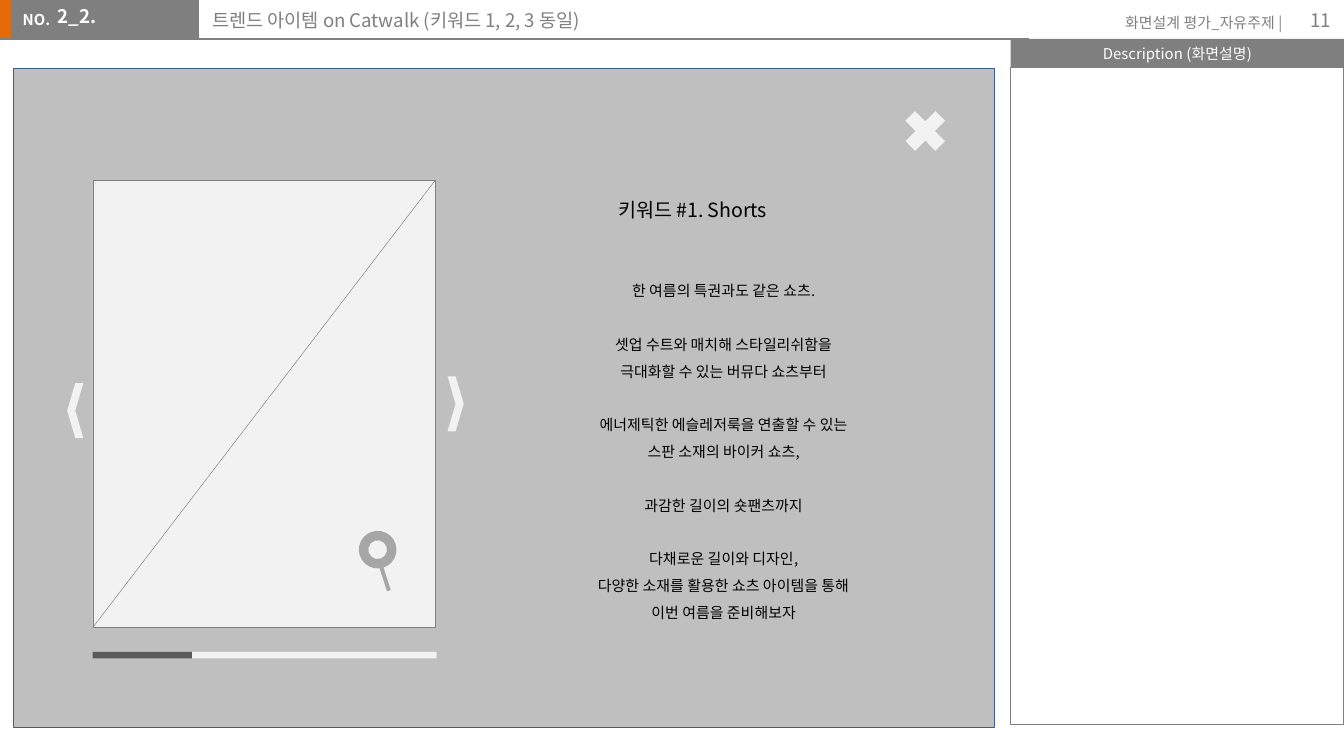
from lxml.etree import SubElement
from pptx import Presentation
from pptx.dml.color import RGBColor
from pptx.enum.shapes import MSO_CONNECTOR, MSO_SHAPE
from pptx.enum.text import MSO_ANCHOR, PP_ALIGN
from pptx.oxml.ns import qn
from pptx.util import Inches, Pt

FONT = "Noto Sans CJK KR"
GRAY, LIGHT, WHITE, BLACK = "7F7F7F", "F2F2F2", "FFFFFF", "000000"
OUTLINE = "808080"

KEYWORD_TEXT = [
    ["한 여름의 특권과도 같은 쇼츠."],
    ["셋업 수트와 매치해 스타일리쉬함을", "극대화할 수 있는 버뮤다 쇼츠부터"],
    ["에너제틱한 에슬레저룩을 연출할 수 있는", "스판 소재의 바이커 쇼츠,"],
    ["과감한 길이의 숏팬츠까지"],
    ["다채로운 길이와 디자인,", "다양한 소재를 활용한 쇼츠 아이템을 통해",
     "이번 여름을 준비해보자"],
]


def color(value):
    return RGBColor.from_string(value)


def apply_format(target, values):
    for name, value in values.items():
        setattr(target, name, value)


def add_box(shapes, kind, bounds, fill=None, line=None, width=0.25, rotation=0):
    shape = shapes.add_shape(kind, *map(Inches, bounds))
    shape.shadow.inherit = False
    shape.rotation = rotation
    if fill:
        shape.fill.solid()
        shape.fill.fore_color.rgb = color(fill)
    else:
        shape.fill.background()
    if line:
        shape.line.color.rgb = color(line)
        shape.line.width = Pt(width)
    else:
        shape.line.fill.background()
    return shape


def add_line(shapes, start, end, line, width):
    connector = shapes.add_connector(
        MSO_CONNECTOR.STRAIGHT, *map(Inches, start + end))
    connector.line.color.rgb = color(line)
    connector.line.width = Pt(width)
    SubElement(connector._element.spPr, qn("a:effectLst"))


def write_text(shape, groups, size, text_color, align=PP_ALIGN.LEFT, bold=False,
               spacing=None, gap=0, anchor=MSO_ANCHOR.TOP, wrap=True,
               left=0.1, top=0.05, kerning="0"):
    """Write groups of lines, with a gap before every group but the first."""
    frame = shape.text_frame
    apply_format(frame, {
        "word_wrap": wrap, "vertical_anchor": anchor,
        "margin_left": Inches(left), "margin_right": Inches(0.1),
        "margin_top": Inches(top), "margin_bottom": Inches(0.05),
    })
    lines = [(text, gap if number and not index else 0)
             for number, group in enumerate(groups)
             for index, text in enumerate(group)]
    for number, (text, before) in enumerate(lines):
        paragraph = frame.add_paragraph() if number else frame.paragraphs[0]
        apply_format(paragraph, {"alignment": align, "line_spacing": spacing,
                                 "space_before": Pt(before)})
        run = paragraph.add_run()
        run.text = text
        apply_format(run.font, {"name": FONT, "size": Pt(size), "bold": bold})
        run.font.color.rgb = color(text_color)
        run.font._element.set("kern", kerning)
        SubElement(run.font._element, qn("a:ea")).set("typeface", FONT)


def add_text(shapes, bounds, groups, size, text_color, **options):
    box = shapes.add_textbox(*map(Inches, bounds))
    write_text(box, groups, size, text_color, **options)


def add_frame(shapes):
    # Header bar
    add_box(shapes, MSO_SHAPE.RECTANGLE, (-0.01, 0, 0.12, 0.29), "E36C09")
    add_box(shapes, MSO_SHAPE.RECTANGLE, (0.08, 0, 1.4, 0.29), GRAY)
    add_line(shapes, (0, 0.29), (7.66, 0.29), GRAY, 0.75)
    add_text(shapes, (0.07, 0.03, 0.41, 0.24), [["NO."]], 8, WHITE, bold=True,
             wrap=False)
    add_text(shapes, (0.09, -0.06, 1.1, 0.31), [["2_2."]], 10, WHITE, bold=True,
             left=0.34, top=0.1, anchor=MSO_ANCHOR.MIDDLE)
    add_text(shapes, (1.48, -0.03, 6.14, 0.32),
             [["트렌드 아이템 on Catwalk (키워드 1, 2, 3 동일)"]], 10, GRAY,
             top=0.09, anchor=MSO_ANCHOR.MIDDLE)
    add_text(shapes, (8, 0.05, 1.64, 0.24), [["화면설계 평가_자유주제 |"]], 8, GRAY,
             align=PP_ALIGN.RIGHT)
    add_text(shapes, (9.4, 0, 0.6, 0.3), [["11"]], 10, GRAY,
             align=PP_ALIGN.RIGHT, anchor=MSO_ANCHOR.MIDDLE)

    # Description column
    heading = add_box(shapes, MSO_SHAPE.RECTANGLE, (7.52, 0.29, 2.48, 0.21), GRAY)
    write_text(heading, [["Description (화면설명)"]], 8, WHITE, kerning="1200",
               align=PP_ALIGN.CENTER, anchor=MSO_ANCHOR.MIDDLE)
    add_box(shapes, MSO_SHAPE.RECTANGLE, (7.52, 0.5, 2.48, 4.89),
            line=GRAY, width=0.75)


def add_gallery(shapes):
    # Image placeholder with a diagonal
    image = shapes.add_group_shape().shapes
    add_box(image, MSO_SHAPE.RECTANGLE, (0.69, 1.34, 2.55, 3.33), LIGHT, OUTLINE)
    add_line(image, (3.24, 1.34), (0.69, 4.67), OUTLINE, 0.25)

    # Previous and next arrows
    for left, top, rotation in [(0.5, 2.85, 180), (3.33, 2.8, 0)]:
        add_box(shapes, MSO_SHAPE.CHEVRON, (left, top, 0.12, 0.41), LIGHT,
                rotation=rotation)

    # Progress bar
    for left, width, fill in [(0.69, 0.74, "595959"), (1.43, 1.82, LIGHT)]:
        add_box(shapes, MSO_SHAPE.RECTANGLE, (left, 4.85, width, 0.05), fill)

    # Magnifier
    magnifier = shapes.add_group_shape().shapes
    for kind, bounds in [(MSO_SHAPE.RECTANGLE, (2.85, 4.21, 0.03, 0.19)),
                         (MSO_SHAPE.DONUT, (2.67, 3.95, 0.28, 0.28))]:
        add_box(magnifier, kind, bounds, "A6A6A6", rotation=342.3)


def add_keyword(shapes):
    # Close button and keyword description
    add_box(shapes, MSO_SHAPE.MATH_MULTIPLY, (6.67, 0.76, 0.43, 0.43), LIGHT)
    centered = {"align": PP_ALIGN.CENTER, "spacing": 1.5, "wrap": False}
    add_text(shapes, (4.48, 1.34, 1.35, 0.34), [["키워드 #1. Shorts"]],
             10.5, BLACK, **centered)
    add_text(shapes, (4.31, 1.98, 2.15, 2.73), KEYWORD_TEXT, 8, BLACK,
             gap=14.4, **centered)


def main():
    # Widescreen page, 16:9
    presentation = Presentation()
    width = Inches(10)
    apply_format(presentation, {"slide_width": width,
                                "slide_height": width * 9 // 16})
    slide = presentation.slides.add_slide(presentation.slide_layouts[6])
    shapes = slide.shapes
    add_frame(shapes)
    add_box(shapes, MSO_SHAPE.RECTANGLE, (0.1, 0.51, 7.3, 4.9), "BFBFBF", "3A5F8C")
    add_gallery(shapes)
    add_keyword(shapes)
    presentation.save("out.pptx")


main()
